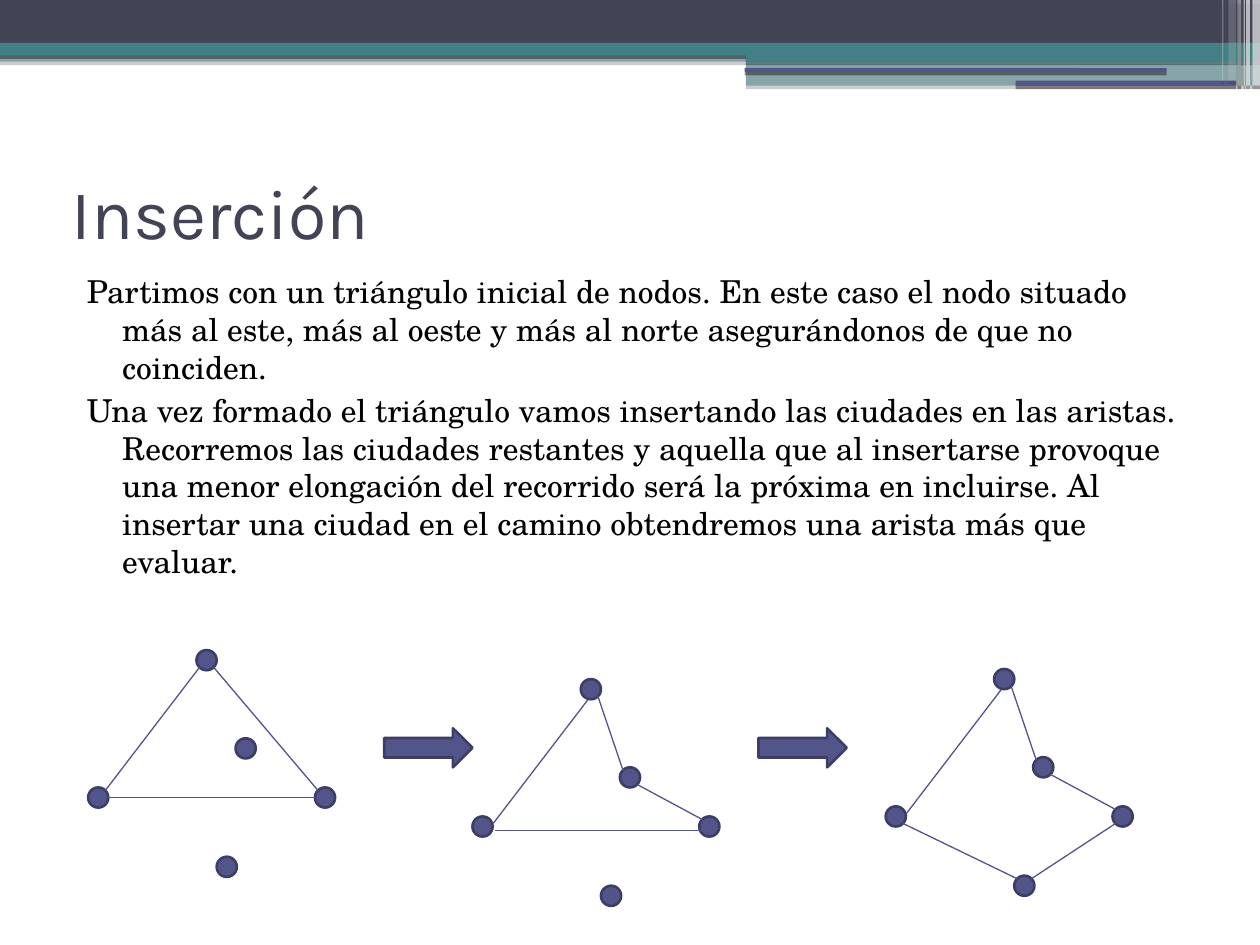
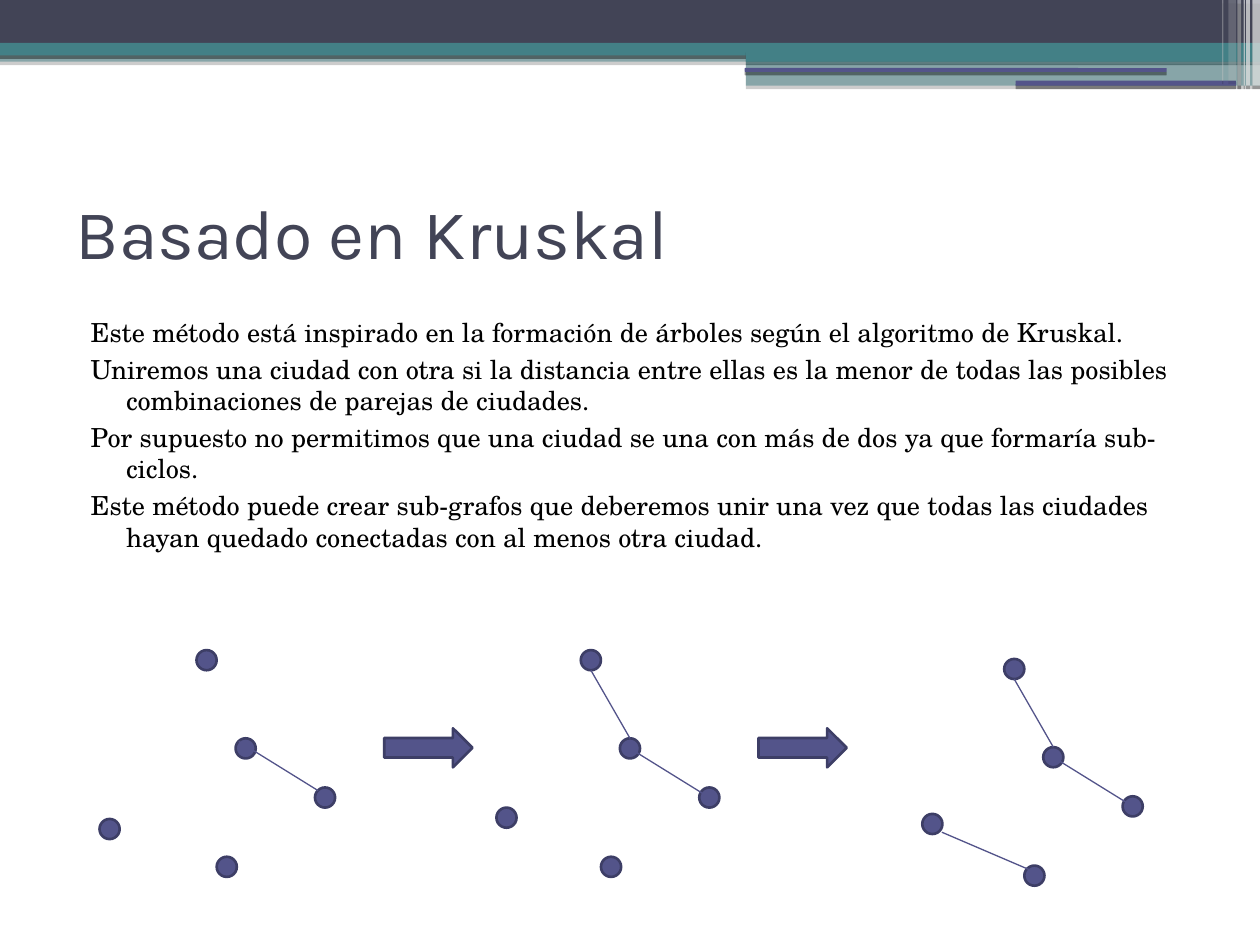
from dataclasses import dataclass

from lxml import etree
from pptx import Presentation
from pptx import util as u
from pptx.dml.color import RGBColor
from pptx.enum import shapes, text
from pptx.oxml.ns import qn


@dataclass(frozen=True)
class Theme:
    dark: str = "424456"
    teal: str = "438086"
    indigo: str = "53548A"
    outline: str = "3D3E66"
    white: str = "FFFFFF"
    black: str = "000000"
    title_font: str = "Karla"
    body_font: str = "TeX Gyre Schola"
    title_size: int = 40
    node_line: float = 1.5
    edge_line: float = 0.75


T = Theme()
MSO = shapes.MSO_SHAPE

# Header bands: left, top, width, height, colour, opacity, preset
BANDS = [
    (0, 0.4, 10, 0.09, T.teal, 50, MSO.RECTANGLE),
    (0, 0, 10, 0.34, T.dark, 100, MSO.RECTANGLE),
    (0, 0.34, 10, 0.1, T.teal, 100, MSO.RECTANGLE),
    (5.92, 0.39, 4.08, 0.1, T.teal, 100, MSO.RECTANGLE),
    (5.92, 0.48, 4.08, 0.2, T.teal, 50, MSO.RECTANGLE),
    (5.91, 0.54, 3.35, 0.03, T.indigo, 100, MSO.ROUNDED_RECTANGLE),
    (8.06, 0.64, 1.75, 0.04, T.indigo, 100, MSO.ROUNDED_RECTANGLE),
]
# Vertical stripes at the right end: left, width, height, opacity
STRIPES = [(9.94, 0.06, 0.68, 66), (9.89, 0.03, 0.68, 66), (9.87, 0.01, 0.68, 60),
           (9.82, 0.03, 0.68, 40), (9.75, 0.06, 0.64, 20), (9.7, 0.01, 0.64, 31)]
BANDS += [(x, 0, w, h, T.white, a, MSO.RECTANGLE) for x, w, h, a in STRIPES]

# Cities, relative to the top one, and the points where an edge may attach
NODE = 0.16
CITIES = {"top": (0, 0), "right": (0.94, 1.09), "left": (-0.86, 1.09),
          "bottom": (0.16, 1.64), "inner": (0.31, 0.7)}
DIAG = 0.055
SITES = {"C": (0, 0), "N": (0, -NODE / 2), "S": (0, NODE / 2),
         "E": (NODE / 2, 0), "W": (-NODE / 2, 0),
         "NE": (DIAG, -DIAG), "NW": (-DIAG, -DIAG),
         "SE": (DIAG, DIAG), "SW": (-DIAG, DIAG)}

ARROWS_X = (3.05, 6.02)

# Edges shared by several diagrams: from, to, nudge
WEST_SIDE = ("top.SW", "left.NE", 0, 0)
WEST_SIDE_NUDGED = ("top.SW", "left.NE", 0.03, 0.03)
TO_INNER = ("top.SE", "inner.NW", 0, 0)
FROM_INNER = ("inner.SE", "right.NW", 0, 0)
LINK_TOP = ("top.S", "inner.N", 0, 0)
LINK_RIGHT = ("inner.C", "right.C", 0, 0)

SLIDES = [
    dict(
        title="Inserción", left=0.47, title_top=1.09, body_top=2.11, size=18,
        body=[
            "Partimos con un triángulo inicial de nodos. En este caso el nodo situado "
            "más al este, más al oeste y más al norte asegurándonos de que no coinciden.",
            "Una vez formado el triángulo vamos insertando las ciudades en las aristas. "
            "Recorremos las ciudades restantes y aquella que al insertarse provoque una "
            "menor elongación del recorrido será la próxima en incluirse. Al insertar una "
            "ciudad en el camino obtendremos una arista más que evaluar.",
        ],
        # Each diagram: position of the top city, moved cities, edges
        diagrams=[
            ((1.56, 5.16), {}, [WEST_SIDE, ("top.SE", "right.NW", 0, 0),
                                ("left.E", "right.W", 0, 0)]),
            ((4.61, 5.39), {}, [WEST_SIDE_NUDGED, ("left.E", "right.W", 0.02, 0.03),
                                TO_INNER, FROM_INNER]),
            ((7.89, 5.31), {}, [WEST_SIDE_NUDGED, TO_INNER, FROM_INNER,
                                ("right.SW", "bottom.NE", 0, 0),
                                ("left.SE", "bottom.NW", 0, 0)]),
        ],
    ),
    dict(
        title="Basado en Kruskal", left=0.5, title_top=1.25, body_top=2.46, size=15,
        body=[
            "Este método está inspirado en la formación de árboles según el algoritmo "
            "de Kruskal.",
            "Uniremos una ciudad con otra si la distancia entre ellas es la menor de "
            "todas las posibles combinaciones de parejas de ciudades.",
            "Por supuesto no permitimos que una ciudad se una con más de dos ya que "
            "formaría sub-ciclos.",
            "Este método puede crear sub-grafos que deberemos unir una vez que todas las "
            "ciudades hayan quedado conectadas con al menos otra ciudad.",
        ],
        diagrams=[
            ((1.56, 5.16), {"left": (-0.77, 1.34)}, [("inner.NW", "right.NW", 0, 0)]),
            ((4.61, 5.16), {"left": (-0.67, 1.25)}, [LINK_TOP, LINK_RIGHT]),
            ((7.97, 5.23), {"left": (-0.65, 1.23)},
             [LINK_TOP, LINK_RIGHT, ("bottom.NW", "left.SE", 0.02, 0.01)]),
        ],
    ),
]


def apply(obj, **fmt):
    for name, value in fmt.items():
        setattr(obj, name, value)


def place(sp, x, y, w, h):
    apply(sp, left=u.Inches(x), top=u.Inches(y), width=u.Inches(w), height=u.Inches(h))


def add_shape(s, preset, x, y, w, h, fill, line=None):
    sp = s.shapes.add_shape(preset, *map(u.Inches, (x, y, w, h)))
    sp.shadow.inherit = False
    sp.fill.solid()
    sp.fill.fore_color.rgb = RGBColor.from_string(fill)
    if line:
        sp.line.color.rgb = RGBColor.from_string(line)
        sp.line.width = u.Pt(T.node_line)
    else:
        sp.line.fill.background()
    return sp


def set_alpha(color, percent):
    etree.SubElement(color, qn("a:alpha"), val=str(percent * 1000))


def add_band(s, x, y, w, h, fill, opacity, preset):
    sp = add_shape(s, preset, x, y, w, h, fill)
    spPr = sp.element.spPr
    if opacity < 100:
        set_alpha(spPr.find(qn("a:solidFill"))[0], opacity)
    shadow = etree.SubElement(spPr.find(qn("a:effectLst")), qn("a:outerShdw"),
                              blurRad="0", dist=str(u.Pt(2)), dir="5400000")
    color = etree.SubElement(shadow, qn("a:srgbClr"), val=T.black)
    set_alpha(color, 40)
    return sp


def move_to_master(prs, sp, index):
    sp.element.nvSpPr.cNvPr.set("id", str(100 + index))
    prs.slide_master.shapes.element.insert(2 + index, sp.element)


def add_edge(s, start, end):
    c = s.shapes.add_connector(shapes.MSO_CONNECTOR.STRAIGHT,
                               *map(u.Inches, (*start, *end)))
    c.line.color.rgb = RGBColor.from_string(T.indigo)
    c.line.width = u.Pt(T.edge_line)
    etree.SubElement(c.element.spPr, qn("a:effectLst"))


def add_diagram(s, origin, moved, edges):
    cities = {name: (origin[0] + dx, origin[1] + dy)
              for name, (dx, dy) in {**CITIES, **moved}.items()}
    for x, y in cities.values():
        add_shape(s, MSO.OVAL, x, y, NODE, NODE, T.indigo, T.outline)

    def site(ref, dx, dy):
        city, side = ref.split(".")
        (x, y), (sx, sy) = cities[city], SITES[side]
        return x + NODE / 2 + sx + dx, y + NODE / 2 + sy + dy

    for start, end, dx, dy in edges:
        add_edge(s, site(start, dx, dy), site(end, dx, dy))


def fill_text(sp, lines, font, size, color, anchor):
    tf = sp.text_frame
    apply(tf, word_wrap=True, auto_size=text.MSO_AUTO_SIZE.NONE, vertical_anchor=anchor)
    for i, line in enumerate(lines):
        p = tf.add_paragraph() if i else tf.paragraphs[0]
        p.alignment = text.PP_ALIGN.LEFT
        r = p.add_run()
        r.text = line
        apply(r.font, name=font, size=u.Pt(size))
        r.font.color.rgb = RGBColor.from_string(color)
    return tf.paragraphs


def add_title(s, title, x, y):
    sp = s.shapes.title
    place(sp, x, y, 9, 1.17)
    fill_text(sp, [title], T.title_font, T.title_size, T.dark, text.MSO_ANCHOR.MIDDLE)


def add_body(s, lines, x, y, size):
    sp = s.placeholders[1]
    place(sp, x, y, 9, 4.73)
    for p in fill_text(sp, lines, T.body_font, size, T.black, text.MSO_ANCHOR.TOP):
        p.space_before = u.Pt(3)
        pPr = p._p.get_or_add_pPr()
        pPr.set("marL", str(u.Inches(0.4)))
        pPr.set("indent", str(u.Inches(-0.28)))
        etree.SubElement(pPr, qn("a:buNone"))


def main():
    prs = Presentation()
    apply(prs, slide_width=u.Inches(10), slide_height=u.Inches(7.5))

    for number, content in enumerate(SLIDES):
        s = prs.slides.add_slide(prs.slide_layouts[1])

        # Header bands, shared through the master
        if number == 0:
            for i, band in enumerate(BANDS):
                move_to_master(prs, add_band(s, *band), i)

        # Title and text
        add_title(s, content["title"], content["left"], content["title_top"])
        add_body(s, content["body"], content["left"], content["body_top"], content["size"])

        # Three steps with arrows between them
        for diagram in content["diagrams"]:
            add_diagram(s, *diagram)
        for x in ARROWS_X:
            add_shape(s, MSO.RIGHT_ARROW, x, 5.78, 0.7, 0.31, T.indigo, T.outline)

    prs.save("out.pptx")


if __name__ == "__main__":
    main()
